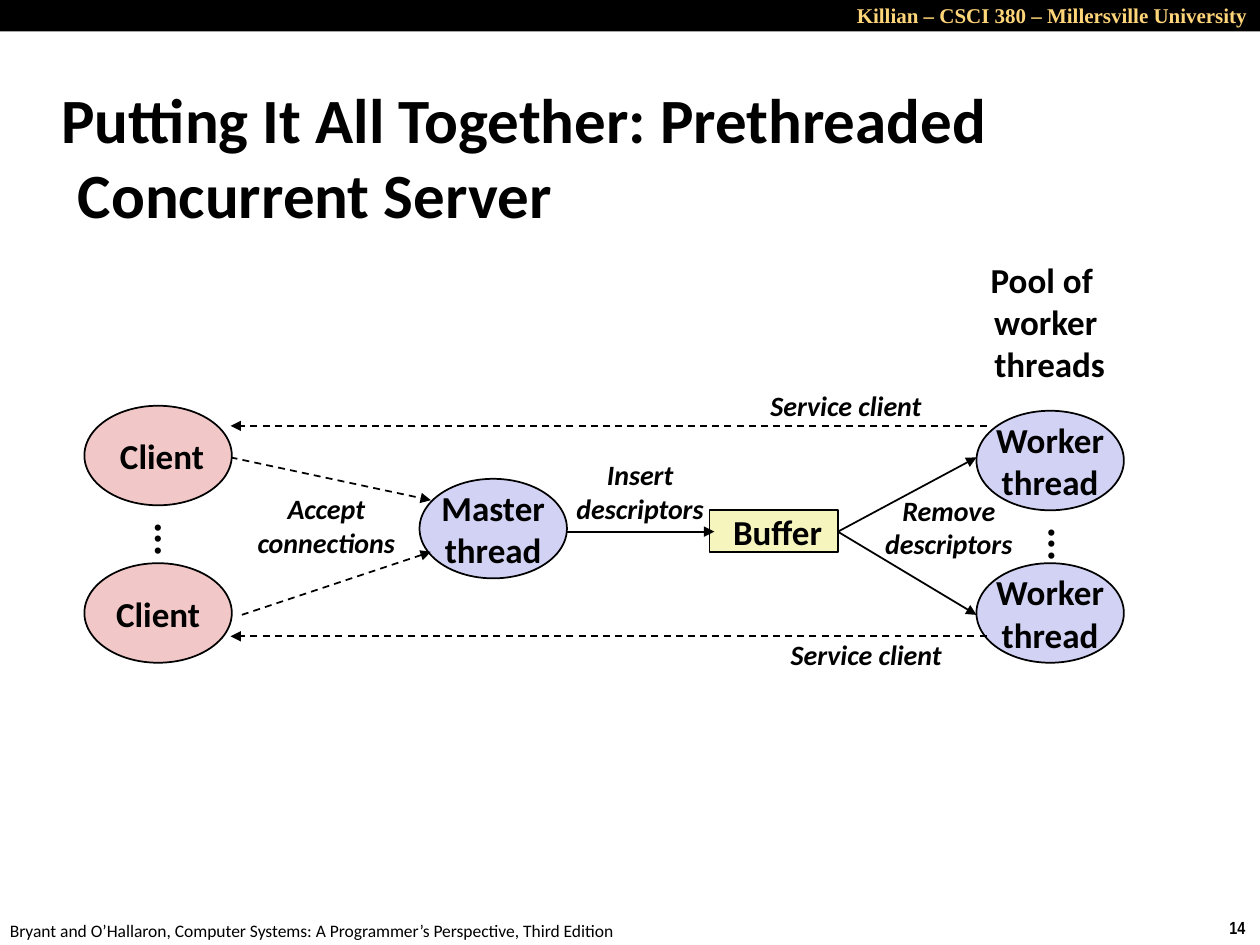
from dataclasses import dataclass

from lxml.etree import SubElement
from pptx import Presentation
from pptx.dml.color import RGBColor
from pptx.enum.dml import MSO_LINE
from pptx.enum.shapes import MSO_CONNECTOR, MSO_SHAPE
from pptx.enum.text import MSO_ANCHOR, MSO_AUTO_SIZE, PP_ALIGN
from pptx.oxml.ns import qn
from pptx.util import Inches, Pt


@dataclass(frozen=True)
class Theme:
    ink: str = "000000"
    header: str = "FFD579"
    client: str = "F1C7C7"
    thread: str = "D2D2F4"
    buffer: str = "F6F5BD"
    body_font: str = "Calibri"
    header_font: str = "Times New Roman"
    number_font: str = "Arial Narrow"
    title: int = 36
    dots: int = 24
    node: int = 20
    label: int = 16
    header_size: int = 12
    footer: int = 10


class Diagram:
    """Draws the parts of a thread diagram on one slide in one theme."""

    def __init__(self, slide, theme):
        self.shapes = slide.shapes
        self.theme = theme

    def set_text(self, frame, text, size, align=PP_ALIGN.CENTER, bold=True,
                 italic=False, font=None, color=None):
        frame.text = text
        for paragraph in frame.paragraphs:
            paragraph.alignment = align
            paragraph.font.size = Pt(size)
            paragraph.font.bold = bold
            paragraph.font.italic = italic
            paragraph.font.name = font or self.theme.body_font
            paragraph.font.color.rgb = RGBColor.from_string(color or self.theme.ink)

    def text(self, box, text, size, anchor=MSO_ANCHOR.MIDDLE, wrap=False, **style):
        frame = self.shapes.add_textbox(*map(Inches, box)).text_frame
        self.set_text(frame, text, size, **style)
        frame.word_wrap = wrap
        frame.vertical_anchor = anchor
        frame.auto_size = MSO_AUTO_SIZE.NONE if wrap else MSO_AUTO_SIZE.SHAPE_TO_FIT_TEXT
        return frame

    def label(self, box, text):
        self.text(box, text, self.theme.label, italic=True)

    def title(self, box, text):
        frame = self.text(box, text, self.theme.title, wrap=True, align=PP_ALIGN.LEFT)
        properties = frame.paragraphs[0]._p.get_or_add_pPr()
        properties.set("marL", str(Inches(0.13)))
        properties.set("indent", str(Inches(-0.13)))

    def dots(self, left, top, align):
        frame = self.text((left, top, 0.61, 0.37), "...", self.theme.dots, align=align)
        frame._txBody.bodyPr.set("vert", "eaVert")

    def block(self, kind, box, fill):
        block = self.shapes.add_shape(kind, *map(Inches, box))
        block.shadow.inherit = False
        block.fill.solid()
        block.fill.fore_color.rgb = RGBColor.from_string(fill)
        block.line.fill.background()
        return block

    def node(self, kind, box, text, fill):
        node = self.block(kind, box, fill)
        node.line.color.rgb = RGBColor.from_string(self.theme.ink)
        node.line.width = Pt(1)
        frame = node.text_frame
        self.set_text(frame, text, self.theme.node)
        frame.word_wrap = False
        frame.vertical_anchor = MSO_ANCHOR.MIDDLE
        frame.margin_top = frame.margin_bottom = 0

    def oval(self, left, top, text, fill):
        self.node(MSO_SHAPE.OVAL, (left, top, 1.17, 0.79), text, fill)

    def arrow(self, start, end, dashed=False):
        arrow = self.shapes.add_connector(
            MSO_CONNECTOR.STRAIGHT, *map(Inches, (*start, *end)))
        arrow.line.color.rgb = RGBColor.from_string(self.theme.ink)
        arrow.line.width = Pt(1)
        if dashed:
            arrow.line.dash_style = MSO_LINE.DASH
        SubElement(arrow.line._get_or_add_ln(), qn("a:tailEnd"), type="triangle")
        SubElement(arrow._element.spPr, qn("a:effectLst"))


def main():
    theme = Theme()
    deck = Presentation()
    deck.slide_width, deck.slide_height = Inches(10), Inches(7.5)
    diagram = Diagram(deck.slides.add_slide(deck.slide_layouts[6]), theme)

    diagram.text((9.66, 7.23, 0.34, 0.27), "14", theme.footer, MSO_ANCHOR.TOP,
                 align=PP_ALIGN.LEFT, font=theme.number_font)
    diagram.text((-0.02, 7.25, 5.08, 0.27),
                 "Bryant and O’Hallaron, Computer Systems: "
                 "A Programmer’s Perspective, Third Edition",
                 theme.footer, MSO_ANCHOR.TOP, align=PP_ALIGN.LEFT, bold=False)
    diagram.block(MSO_SHAPE.RECTANGLE, (0, 0, 10, 0.25), theme.ink)
    diagram.text((4.5, -0.03, 5.5, 0.3), "Killian – CSCI 380 – Millersville University",
                 theme.header_size, MSO_ANCHOR.TOP, wrap=True, align=PP_ALIGN.RIGHT,
                 font=theme.header_font, color=theme.header)
    diagram.title((0.39, 0.64, 9.36, 1.19),
                  "Putting It All Together: Prethreaded Concurrent Server")

    client_left, master_left, worker_left = 0.67, 3.33, 7.75
    lower_top, axis = 4.47, 4.22
    diagram.oval(master_left, 3.8, "Master\nthread", theme.thread)
    diagram.node(MSO_SHAPE.RECTANGLE, (5.63, 4.05, 1.02, 0.33), " Buffer", theme.buffer)
    diagram.arrow((4.5, axis), (5.67, axis))
    for worker_entry in (3.63, 4.88):
        diagram.arrow((6.65, axis), (worker_left, worker_entry))
    diagram.dots(8.15, 4.09, PP_ALIGN.LEFT)
    diagram.arrow((1.83, 3.63), (3.42, 3.97), dashed=True)

    diagram.label((1.91, 3.85, 1.36, 0.64), "Accept\nconnections")
    diagram.label((4.44, 3.58, 1.28, 0.64), "Insert\ndescriptors")
    diagram.label((6.89, 3.86, 1.28, 0.64), "Remove\ndescriptors")

    for worker_top in (3.26, lower_top):
        diagram.oval(worker_left, worker_top, "Worker\nthread", theme.thread)
    diagram.oval(client_left, 3.22, " Client", theme.client)
    diagram.oval(client_left, lower_top, "Client", theme.client)
    diagram.dots(1.06, 4.05, PP_ALIGN.CENTER)
    diagram.arrow((1.92, 4.88), (3.42, 4.38), dashed=True)

    for service_y, label_left, label_top in ((3.38, 5.98, 3.03), (5.05, 6.14, 5.01)):
        diagram.arrow((7.83, service_y), (1.83, service_y), dashed=True)
        diagram.label((label_left, label_top, 1.47, 0.37), "Service client")
    diagram.text((7.72, 2, 1.16, 1.11), "Pool of \nworker\n threads", theme.node)

    deck.save("out.pptx")


if __name__ == "__main__":
    main()
